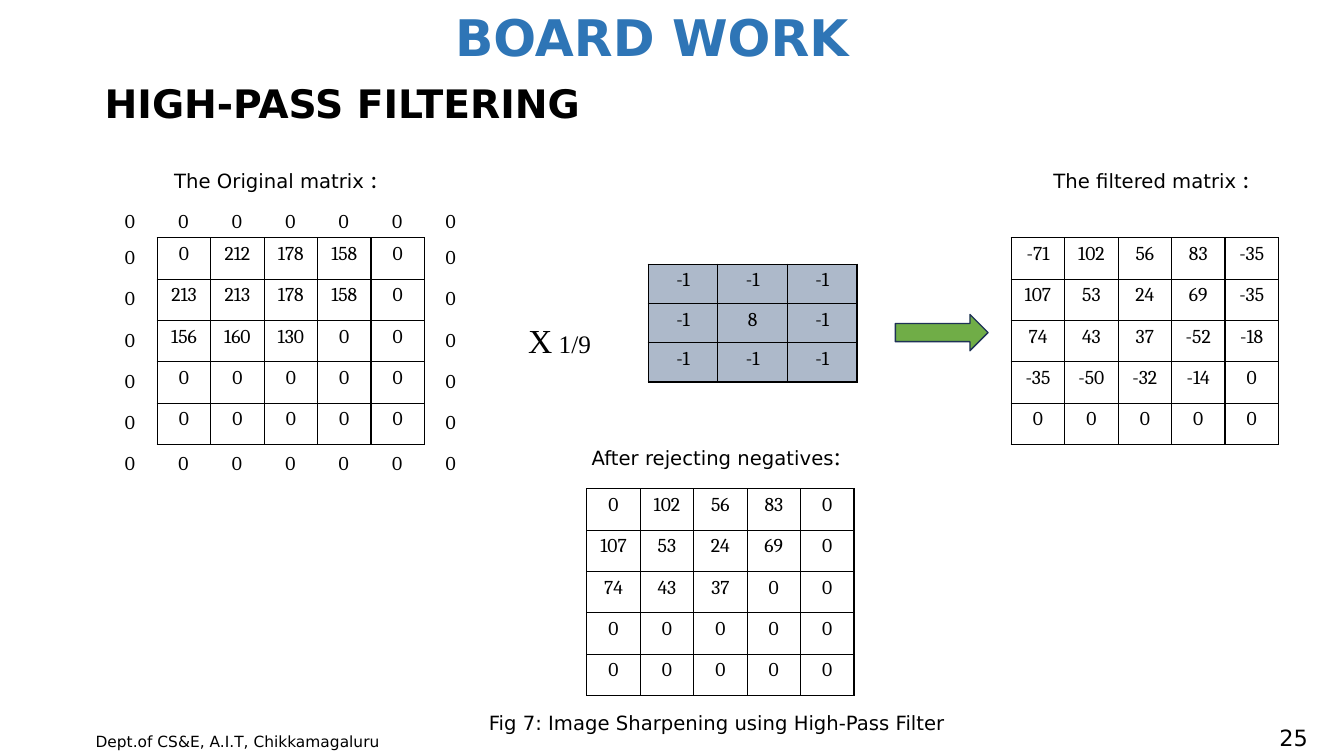
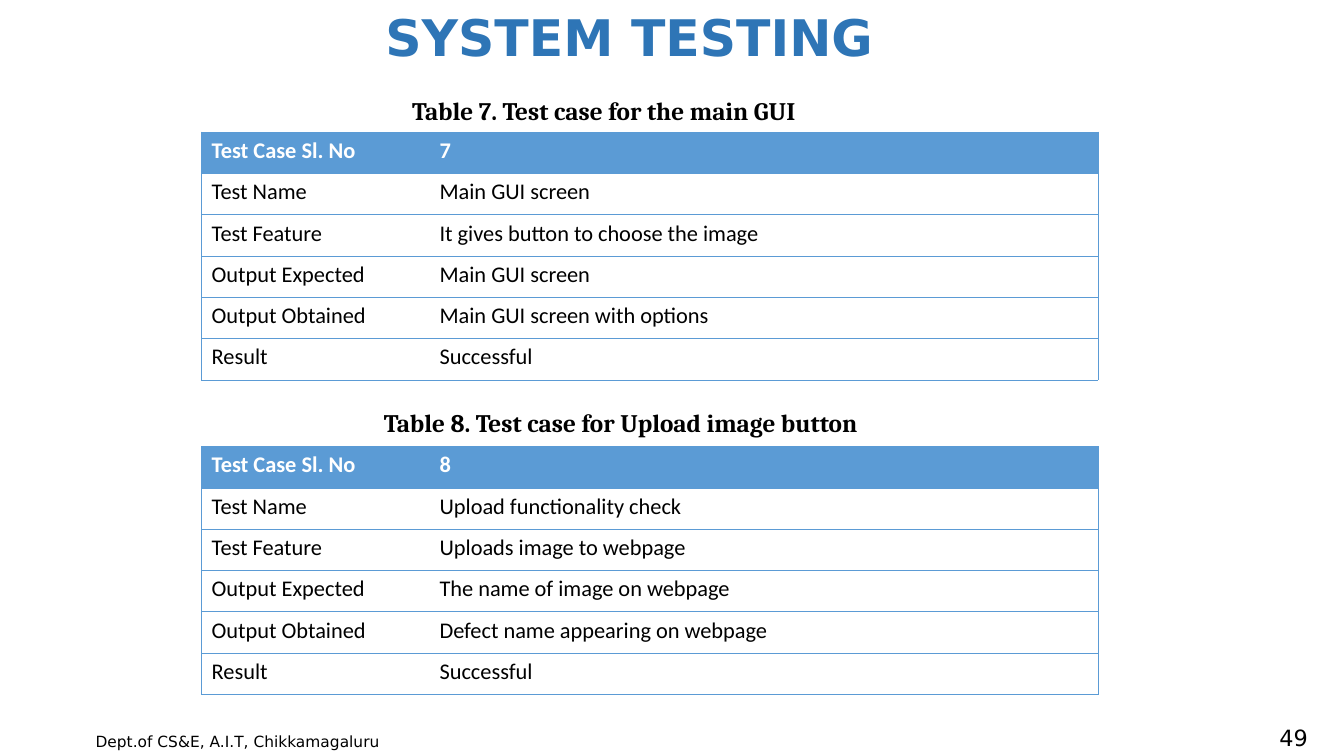
from collections import namedtuple

from lxml import etree
from pptx import Presentation
from pptx import util as u
from pptx.dml.color import RGBColor
from pptx.enum import shapes, text
from pptx.oxml import ns

BLACK = RGBColor(0x00, 0x00, 0x00)
WHITE = RGBColor(0xFF, 0xFF, 0xFF)
TITLE_BLUE = RGBColor(0x2E, 0x75, 0xB6)
TABLE_BLUE = RGBColor(0x5B, 0x9B, 0xD5)
KERNEL_GRAY = RGBColor(0xAD, 0xB9, 0xCA)
ARROW_GREEN = RGBColor(0x70, 0xAD, 0x47)
ARROW_EDGE = RGBColor(0x1E, 0x32, 0x56)

Font = namedtuple("Font", "name size color bold", defaults=(BLACK, False))
TITLE = Font("DejaVu Sans", 36, TITLE_BLUE, True)
HEADING = Font("DejaVu Sans", 28, BLACK, True)
LABEL = Font("DejaVu Sans", 14)
FOOTER = Font("DejaVu Sans", 11)
NUMBER = Font("DejaVu Sans", 16)
DIGIT = Font("Cambria", 14)
CAPTION = Font("Cambria", 18, BLACK, True)
COLON = Font("Calibri", 18)
SERIF = Font("Times New Roman", 18)
FACTOR = Font("Times New Roman", 24)
BODY = Font("Calibri", 16)
HEADER = Font("Calibri", 16, WHITE, True)

LEFT, CENTER, RIGHT = text.PP_ALIGN.LEFT, text.PP_ALIGN.CENTER, text.PP_ALIGN.RIGHT
TOP, MIDDLE = text.MSO_ANCHOR.TOP, text.MSO_ANCHOR.MIDDLE
EMU_PER_PX = 9144
TITLE_ONLY = 5


def px(*lengths):
    return [u.Emu(length * EMU_PER_PX) for length in lengths]


class Deck:
    def __init__(self, width, height):
        self.presentation = Presentation()
        self.presentation.slide_width, self.presentation.slide_height = px(width, height)
        self.slide = None

    def add_slide(self, title, left, width, number):
        layout = self.presentation.slide_layouts[TITLE_ONLY]
        self.slide = self.presentation.slides.add_slide(layout)
        placeholder = self.slide.shapes.title
        placeholder.left, placeholder.top, placeholder.width, placeholder.height = px(left, 0, width, 72)
        self.set_text(placeholder.text_frame, [(title, TITLE)], CENTER, MIDDLE)
        self.label(85, 721, 314, 29, [("Dept.of CS&E, A.I.T, Chikkamagaluru", FOOTER)])
        self.label(1257, 716, 50, 32, [(str(number), NUMBER)], RIGHT, MIDDLE)

    def add_runs(self, paragraph, runs, align):
        paragraph.alignment = align
        for words, font in runs:
            run = paragraph.add_run()
            run.text = words
            run.font.name = font.name
            run.font.size = u.Pt(font.size)
            run.font.bold = font.bold
            run.font.color.rgb = font.color

    def set_text(self, frame, runs, align, anchor):
        frame.word_wrap = True
        frame.auto_size = text.MSO_AUTO_SIZE.NONE
        frame.vertical_anchor = anchor
        self.add_runs(frame.paragraphs[0], runs, align)

    def label(self, left, top, width, height, runs, align=LEFT, anchor=TOP):
        box = self.slide.shapes.add_textbox(*px(left, top, width, height))
        self.set_text(box.text_frame, runs, align, anchor)

    def arrow(self, left, top, width, height):
        shape = self.slide.shapes.add_shape(
            shapes.MSO_SHAPE.RIGHT_ARROW, *px(left, top, width, height))
        shape.shadow.inherit = False
        shape.fill.solid()
        shape.fill.fore_color.rgb = ARROW_GREEN
        shape.line.color.rgb = ARROW_EDGE
        shape.line.width = u.Pt(1)

    def border(self, cell, side, color, points):
        properties = cell._tc.get_or_add_tcPr()
        line = etree.SubElement(properties, ns.qn(f"a:ln{side}"), w=str(u.Pt(points)))
        if color is None:
            etree.SubElement(line, ns.qn("a:noFill"))
        else:
            fill = etree.SubElement(line, ns.qn("a:solidFill"))
            etree.SubElement(fill, ns.qn("a:srgbClr"), val=str(color))

    def table(self, left, top, columns, row_height, rows):
        frame = self.slide.shapes.add_table(
            len(rows), len(columns), *px(left, top, sum(columns), row_height * len(rows)))
        table = frame.table
        table.first_row = table.horz_banding = False
        for column, width in zip(table.columns, px(*columns)):
            column.width = width
        for row in table.rows:
            row.height = px(row_height)[0]
        return table

    def fill_cell(self, cell, words, font, align, fill, edges, points):
        for side, color in zip("LRTB", edges):
            self.border(cell, side, color, points)
        cell.fill.solid()
        cell.fill.fore_color.rgb = fill
        self.add_runs(cell.text_frame.paragraphs[0], [(words, font)], align)

    def matrix(self, left, top, cell_width, cell_height, rows, fill=WHITE):
        table = self.table(left, top, [cell_width] * len(rows[0]), cell_height, rows)
        for r, values in enumerate(rows):
            for c, value in enumerate(values):
                self.fill_cell(table.cell(r, c), str(value), DIGIT, CENTER, fill, [BLACK] * 4, 1)

    def zero_ring(self, left, top, bottom, column_step, side_top, row_step, size):
        columns = [left + column_step * i for i in range(size + 2)]
        sides = [side_top + row_step * i for i in range(size)]
        spots = [(x, y) for y in (top, bottom) for x in columns]
        spots += [(x, y) for x in (columns[0], columns[-1]) for y in sides]
        for x, y in spots:
            self.label(x, y, 54, 34, [("0", DIGIT)], CENTER)

    def test_case(self, caption, caption_left, caption_top, table_top, values):
        self.label(caption_left, caption_top, 520, 40, [(caption, CAPTION)])
        rows = list(zip(TEST_FIELDS, values))
        table = self.table(200, table_top, [226, 663], 41, rows)
        for r, (field, value) in enumerate(rows):
            font, fill = (HEADER, TABLE_BLUE) if r == 0 else (BODY, WHITE)
            outer = [TABLE_BLUE, TABLE_BLUE]
            self.fill_cell(table.cell(r, 0), field, font, LEFT, fill, [TABLE_BLUE, None] + outer, 0.5)
            self.fill_cell(table.cell(r, 1), value, font, LEFT, fill, [None, TABLE_BLUE] + outer, 0.5)


TEST_FIELDS = ["Test Case Sl. No", "Test Name", "Test Feature",
               "Output Expected", "Output Obtained", "Result"]
ORIGINAL = [[0, 212, 178, 158, 0],
            [213, 213, 178, 158, 0],
            [156, 160, 130, 0, 0],
            [0] * 5,
            [0] * 5]
FILTERED = [[-71, 102, 56, 83, -35],
            [107, 53, 24, 69, -35],
            [74, 43, 37, -52, -18],
            [-35, -50, -32, -14, 0],
            [0] * 5]
NON_NEGATIVE = [[max(value, 0) for value in row] for row in FILTERED]
KERNEL = [[-1, -1, -1], [-1, 8, -1], [-1, -1, -1]]


def add_board_work(deck):
    deck.add_slide("BOARD WORK", 105, 1083, 25)
    deck.label(94, 74, 668, 57, [("HIGH-PASS FILTERING", HEADING)])
    deck.label(163, 157, 250, 40, [("The Original matrix ", LABEL), (":", COLON)])
    deck.label(1035, 157, 232, 40, [("The filtered matrix ", LABEL), (":", COLON)])
    deck.label(577, 432, 356, 40, [("After rejecting negatives", LABEL), (":", SERIF)])
    deck.matrix(156, 236, 53, 41, ORIGINAL)
    deck.zero_ring(102, 202, 442, 53, 238, 41, 5)
    deck.label(514, 312, 113, 50, [("X", FACTOR), (" 1/9", SERIF)])
    deck.matrix(643, 262, 69, 39, KERNEL, KERNEL_GRAY)
    deck.arrow(888, 312, 92, 36)
    deck.matrix(1003, 236, 53, 41, FILTERED)
    deck.matrix(582, 485, 53, 41, NON_NEGATIVE)
    deck.label(475, 700, 610, 34, [("Fig 7: Image Sharpening using High-Pass Filter", LABEL)])


def add_system_testing(deck):
    deck.add_slide("SYSTEM TESTING", 290, 668, 49)
    deck.test_case("Table 7. Test case for the main GUI", 399, 90, 131, [
        "7", "Main GUI screen", "It gives button to choose the image",
        "Main GUI screen", "Main GUI screen with options", "Successful"])
    deck.test_case("Table 8. Test case for Upload image button", 371, 399, 443, [
        "8", "Upload functionality check", "Uploads image to webpage",
        "The name of image on webpage", "Defect name appearing on webpage", "Successful"])


def main():
    deck = Deck(1333, 750)
    add_board_work(deck)
    add_system_testing(deck)
    deck.presentation.save("out.pptx")


if __name__ == "__main__":
    main()
